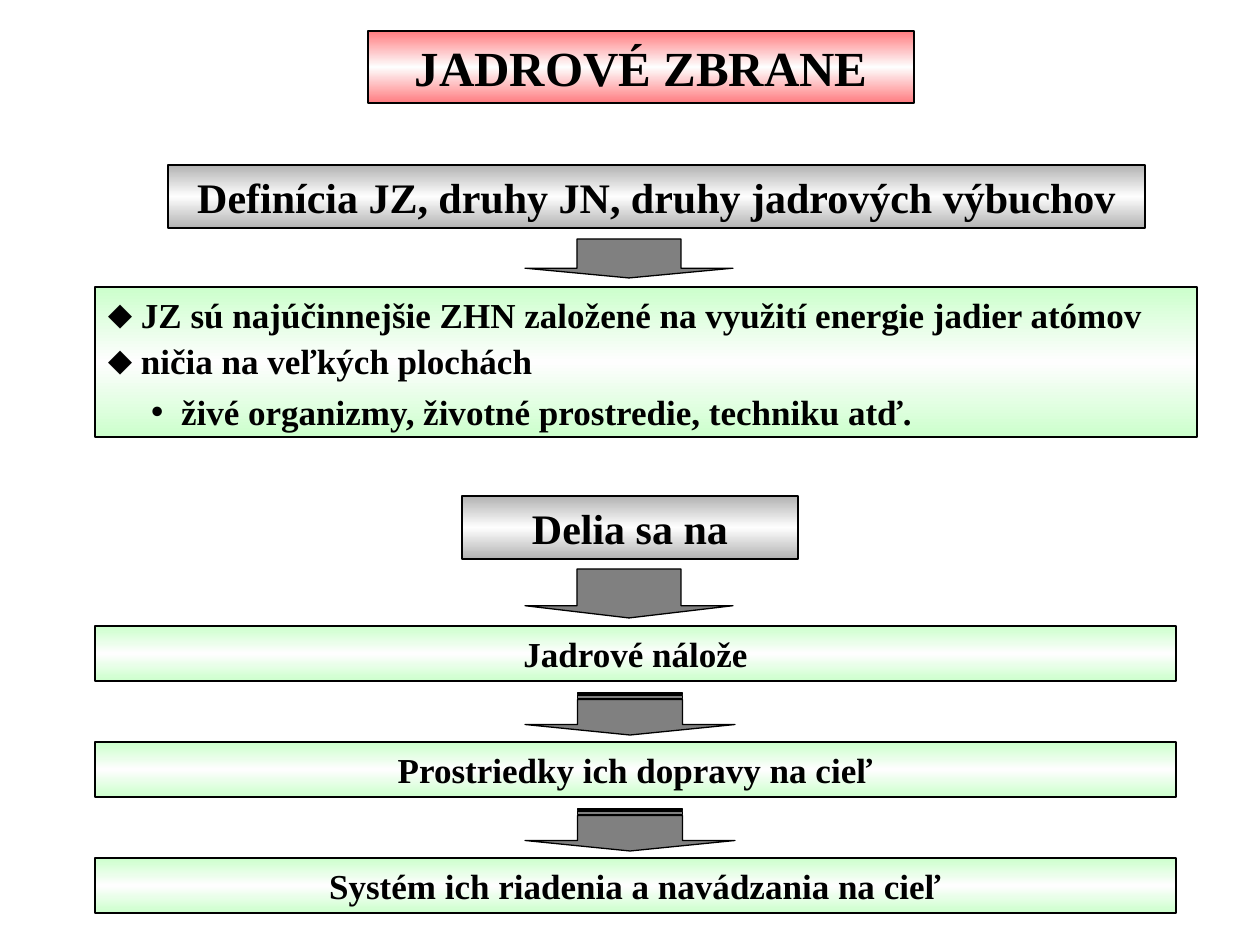
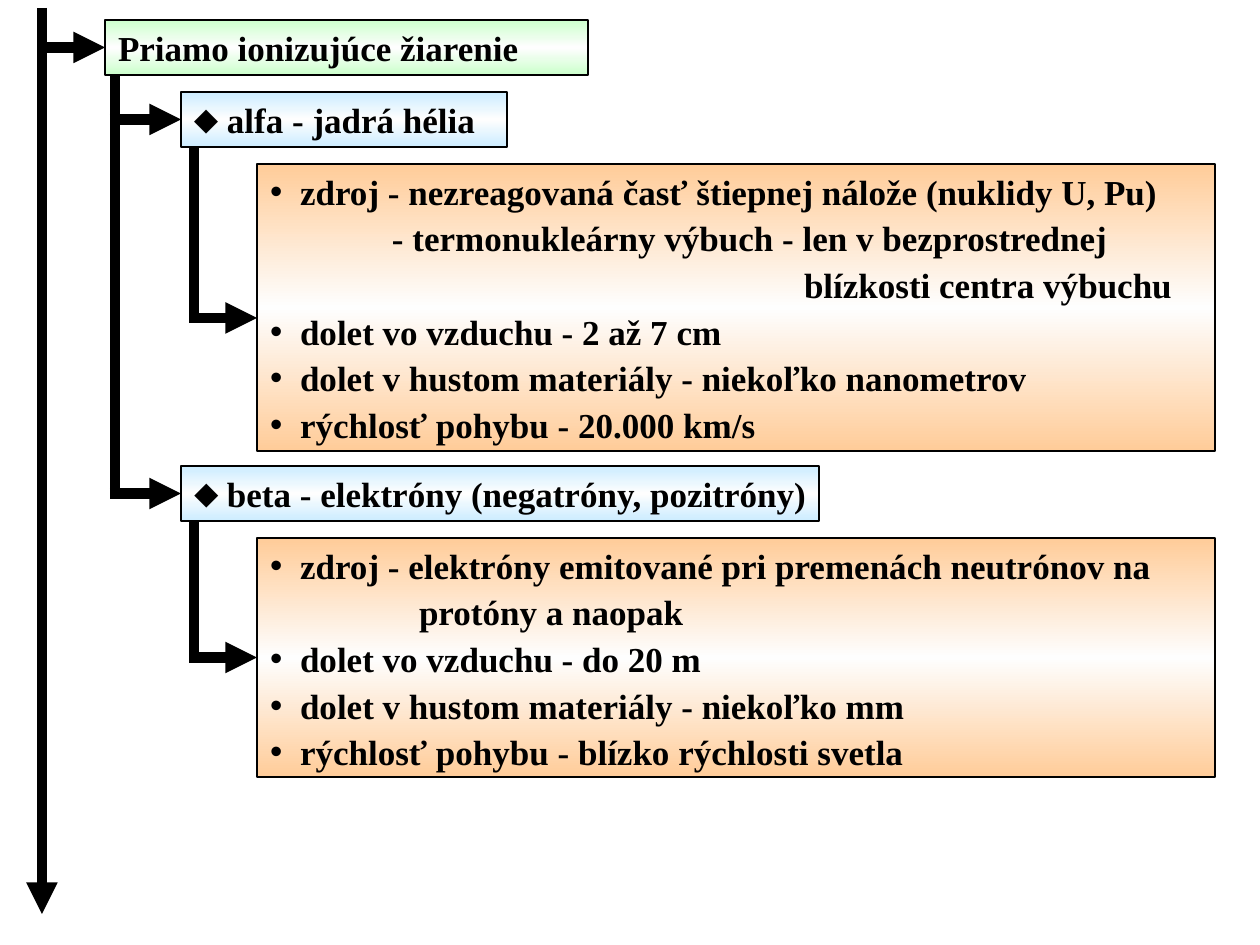
from lxml.etree import SubElement
from copy import deepcopy
from pptx import Presentation
from pptx.dml.color import RGBColor
from pptx.enum.shapes import MSO_CONNECTOR, MSO_SHAPE
from pptx.enum.text import MSO_ANCHOR, MSO_AUTO_SIZE, PP_ALIGN
from pptx.oxml.ns import qn
from pptx.util import Pt

PX = 914400 / 126

BLACK = RGBColor(0x00, 0x00, 0x00)
WHITE = RGBColor(0xFE, 0xFE, 0xFE)
GREY = RGBColor(0x80, 0x80, 0x80)
SILVER = RGBColor(0xB2, 0xB2, 0xB2)
RED = RGBColor(0xFF, 0x7C, 0x80)
GREEN = RGBColor(0xCC, 0xFF, 0xCC)
BLUE = RGBColor(0xCC, 0xEC, 0xFF)
ORANGE = RGBColor(0xFF, 0xCC, 0x99)

FONT = "Times New Roman"
DIAMOND = "⬥"
DOT = "•"


def fill_box(box, frame, tint, lines, size=20, align=PP_ALIGN.LEFT, anchor=MSO_ANCHOR.MIDDLE):
    """Place a gradient box and write lines of (text, bullet, margin, hang, space before)."""
    box.left, box.top, box.width, box.height = (round(value * PX) for value in frame)
    box.shadow.inherit = False
    box.line.color.rgb = BLACK
    box.line.width = Pt(0.75)
    box.fill.gradient()
    box.fill.gradient_angle = 90
    stops = box._element.spPr.find(".//" + qn("a:gsLst"))
    stops.insert(1, deepcopy(stops[0]))
    for stop, color, position in zip(box.fill.gradient_stops, (tint, WHITE, tint), (0, 0.5, 1)):
        stop.color.rgb = color
        stop.position = position

    frame_text = box.text_frame
    frame_text.word_wrap = True
    frame_text.auto_size = MSO_AUTO_SIZE.NONE
    frame_text.vertical_anchor = anchor
    frame_text.margin_left = round(13 * PX)
    frame_text.margin_right = round(13 * PX) if align == PP_ALIGN.CENTER else 0
    frame_text.margin_top = frame_text.margin_bottom = round(6 * PX)
    for index, (text, bullet, margin, hang, gap) in enumerate(lines):
        para = frame_text.paragraphs[0] if index == 0 else frame_text.add_paragraph()
        para.text = text
        properties = para._p.get_or_add_pPr()
        properties.set("marL", str(round(margin * PX)))
        properties.set("indent", str(round(-hang * PX)))
        if bullet:
            SubElement(properties, qn("a:buFont"), typeface="Arial")
            SubElement(properties, qn("a:buChar"), char=bullet)
        else:
            SubElement(properties, qn("a:buNone"))
        para.alignment = align
        para.line_spacing = 1.0
        para.space_before = Pt(gap)
        para.space_after = Pt(0)
        para.font.name = FONT
        para.font.size = Pt(size)
        para.font.bold = True
        para.font.color.rgb = BLACK


def add_line(page, start, end, head=False, target=None):
    """Draw a thick line, ending at the left side of target if there is one."""
    line = page.shapes.add_connector(
        MSO_CONNECTOR.STRAIGHT, *(round(value * PX) for value in (*start, *end)))
    if target is not None:
        line.end_connect(target, 1)
    line.line.color.rgb = BLACK
    line.line.width = Pt(6)
    if head:
        SubElement(line.line._get_or_add_ln(), qn("a:tailEnd"), type="triangle")
    SubElement(line._element.spPr, qn("a:effectLst"))


deck = Presentation()
deck.slide_width = round(1260 * PX)
deck.slide_height = round(945 * PX)

# Slide 1: nuclear weapons, definition and parts
page = deck.slides.add_slide(deck.slide_layouts.get_by_name("Title and Content"))
fill_box(page.shapes.title, (368, 31, 546, 72), RED,
         [("JADROVÉ ZBRANE", None, 0, 0, 0)], 28, PP_ALIGN.CENTER)
fill_box(page.placeholders[1], (95, 287, 1102, 150), GREEN, [
    ("JZ sú najúčinnejšie ZHN založené na využití energie jadier atómov", DIAMOND, 33, 33, 0),
    ("ničia na veľkých plochách", DIAMOND, 33, 33, 2.5),
    ("živé organizmy, životné prostredie, techniku atď.", DOT, 73, 30, 5.2),
], anchor=MSO_ANCHOR.TOP)

centred_boxes = [
    ("Definícia JZ, druhy JN, druhy jadrových výbuchov", (168, 165, 977, 63), SILVER, 24),
    ("Delia sa na", (462, 496, 336, 63), SILVER, 24),
]
parts = ["Jadrové nálože", "Prostriedky ich dopravy na cieľ",
         "Systém ich riadenia a navádzania na cieľ"]
for row, part in enumerate(parts):
    centred_boxes.append((part, (95, 626 + 116 * row, 1081, 55), GREEN, 20))
for text, frame, tint, size in centred_boxes:
    box = page.shapes.add_shape(MSO_SHAPE.RECTANGLE, 0, 0, 0, 0)
    fill_box(box, frame, tint, [(text, None, 0, 0, 0)], size, PP_ALIGN.CENTER)

for preset, left, top, width, height, turn in [
    (MSO_SHAPE.DOWN_ARROW, 525, 239, 208, 39, 0),
    (MSO_SHAPE.DOWN_ARROW, 525, 569, 208, 49, 0),
    (MSO_SHAPE.STRIPED_RIGHT_ARROW, 609, 609, 42, 210, 90),
    (MSO_SHAPE.STRIPED_RIGHT_ARROW, 609, 725, 42, 210, 90),
]:
    arrow = page.shapes.add_shape(
        preset, *(round(value * PX) for value in (left, top, width, height)))
    arrow.rotation = turn
    arrow.adjustments[0] = 0.5
    arrow.adjustments[1] = 0.25
    arrow.shadow.inherit = False
    arrow.fill.solid()
    arrow.fill.fore_color.rgb = GREY
    arrow.line.color.rgb = BLACK
    arrow.line.width = Pt(0.75)

# Slide 2: directly ionising radiation
page = deck.slides.add_slide(deck.slide_layouts.get_by_name("Two Content"))
title = page.shapes.title
fill_box(title, (105, 20, 483, 55), GREEN, [("Priamo ionizujúce žiarenie", None, 0, 0, 0)])
add_line(page, (42, 8), (42, 914), head=True)
add_line(page, (38, 47.5), (105, 47.5), head=True, target=title)

radiations = [
    ("alfa - jadrá hélia", (181, 92, 326, 55), (257, 164, 958, 287), [
        ("zdroj - nezreagovaná časť štiepnej nálože (nuklidy U, Pu)", DOT, 30),
        ("- termonukleárny výbuch - len v bezprostrednej", None, 122),
        ("blízkosti centra výbuchu", None, 534),
        ("dolet vo vzduchu - 2 až 7 cm", DOT, 30),
        ("dolet v hustom materiály - niekoľko nanometrov", DOT, 30),
        ("rýchlosť pohybu - 20.000 km/s", DOT, 30),
    ]),
    ("beta - elektróny (negatróny, pozitróny)", (181, 466, 638, 55), (257, 538, 958, 239), [
        ("zdroj - elektróny emitované pri premenách neutrónov na", DOT, 30),
        ("protóny a naopak", None, 149),
        ("dolet vo vzduchu - do 20 m", DOT, 30),
        ("dolet v hustom materiály - niekoľko mm", DOT, 30),
        ("rýchlosť pohybu - blízko rýchlosti svetla", DOT, 30),
    ]),
]
add_line(page, (115, 75), (115, 494))
for number, (name, name_frame, facts_frame, facts) in enumerate(radiations, start=1):
    label = page.shapes.add_shape(MSO_SHAPE.RECTANGLE, 0, 0, 0, 0)
    fill_box(label, name_frame, BLUE, [(name, DIAMOND, 33, 33, 0)])
    body = page.placeholders[number]
    fill_box(body, facts_frame, ORANGE, [
        (text, bullet, margin, 30 if bullet else 0, 2.7 if row else 0)
        for row, (text, bullet, margin) in enumerate(facts)
    ], anchor=MSO_ANCHOR.TOP)

    label_left, label_top, _, label_height = name_frame
    label_middle = label_top + label_height / 2
    add_line(page, (110, label_middle), (label_left, label_middle), head=True, target=label)
    body_left, body_top, _, body_height = facts_frame
    # The arrow to the first list enters below the middle of its side
    centred = number == 2
    entry = body_top + body_height / 2 if centred else 318
    add_line(page, (194, label_top + label_height + 1), (194, entry))
    add_line(page, (189, entry), (body_left, entry), head=True, target=body if centred else None)

deck.save("out.pptx")
